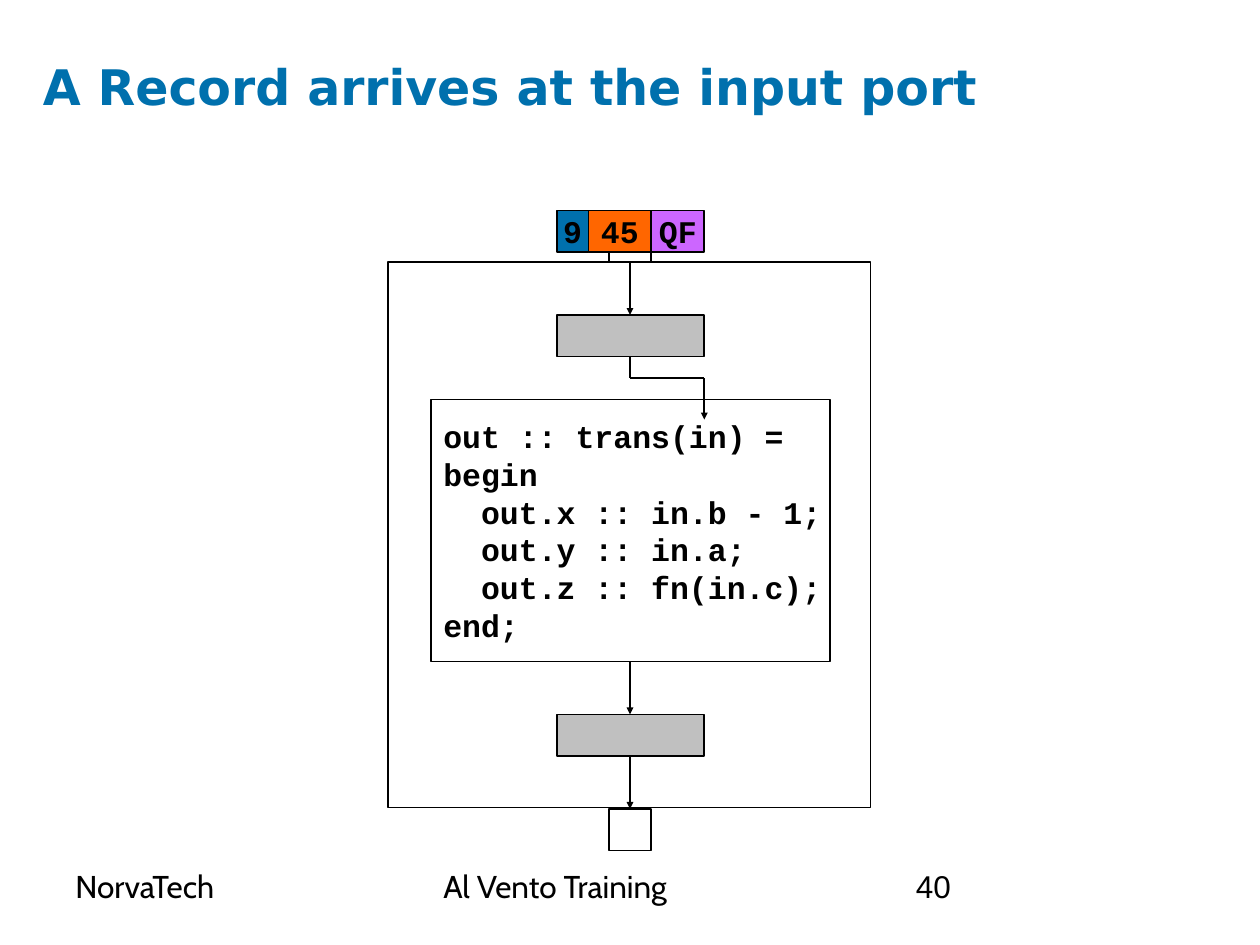
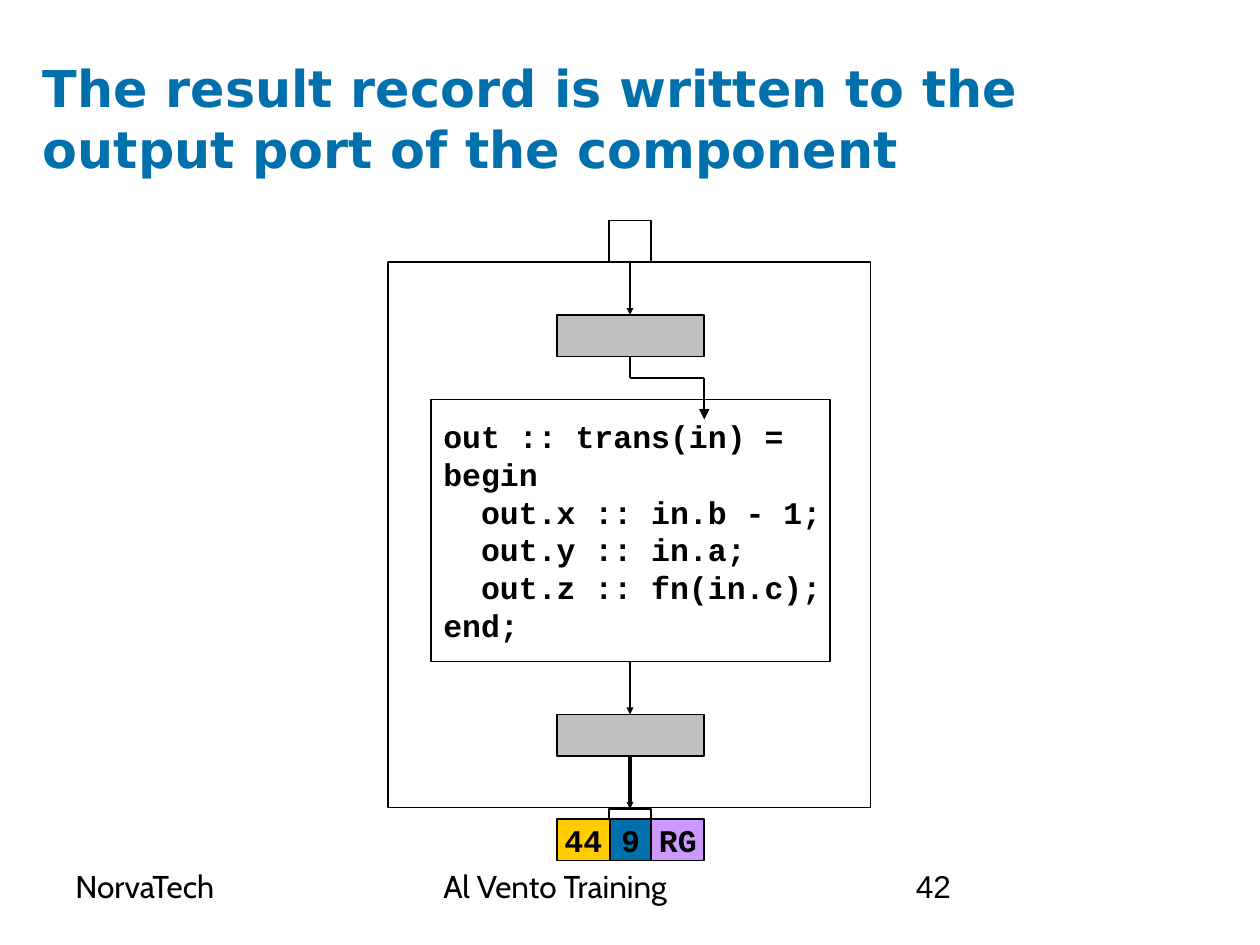
import pptx
import pptx.dml.color
import pptx.enum.shapes
import pptx.enum.text
import pptx.oxml.ns
import pptx.util
from lxml import etree

Inches = pptx.util.Inches
Pt = pptx.util.Pt
qn = pptx.oxml.ns.qn
ALIGN = pptx.enum.text.PP_ALIGN
RECTANGLE = pptx.enum.shapes.MSO_SHAPE.RECTANGLE
STRAIGHT = pptx.enum.shapes.MSO_CONNECTOR.STRAIGHT

BLACK, WHITE, GREY, BLUE = "000000", "FFFFFF", "C0C0C0", "0070AD"
CENTRE = 5
RECORD_LEFT, RECORD_WIDTH = 4.42, 1.17
CELL_HEIGHT = 0.33
CODE_INDENT = 0.3  # two Courier New characters at 18 pt

CODE = [
    (0, "out :: trans(in) ="),
    (0, "begin"),
    (1, "out.x :: in.b - 1;"),
    (1, "out.y :: in.a;"),
    (1, "out.z :: fn(in.c);"),
    (0, "end;"),
]

# Each record is its top edge and its cells: text, width, fill
SLIDES = [
    {"title": "A Record arrives at the input port", "title_size": 28, "number": "40",
     "record_top": 1.67, "output_weight": 1, "elbow_head": "sm",
     "cells": [("9", 0.25, BLUE), ("45", 0.5, "FF6600"), ("QF", 0.42, "CC66FF")]},
    {"title": "The result record is written to the output port of the component",
     "title_size": 29, "number": "42",
     "record_top": 6.5, "output_weight": 2, "elbow_head": "med",
     "cells": [("44", 0.42, "FFCC00"), ("9", 0.33, BLUE), ("RG", 0.42, "CC99FF")]},
]


def rgb(value):
    return pptx.dml.color.RGBColor.from_string(value)


def write(box, lines, font, size, color=BLACK, bold=False, align=ALIGN.LEFT):
    """Fill a shape with one paragraph per line and format every run."""
    box.text_frame.text = "\n".join(lines)
    for para in box.text_frame.paragraphs:
        para.alignment = align
        for span in para.runs:
            span.font.name = font
            span.font.size = Pt(size)
            span.font.bold = bold
            span.font.color.rgb = rgb(color)


deck = pptx.Presentation()
deck.slide_width = Inches(10)
deck.slide_height = Inches(7.5)

for content in SLIDES:
    page = deck.slides.add_slide(deck.slide_layouts[6])
    page.background.fill.solid()
    page.background.fill.fore_color.rgb = rgb(WHITE)

    title = page.shapes.add_textbox(Inches(0.34), Inches(0.45), Inches(9.33), Inches(0.94))
    frame = title.text_frame
    frame.word_wrap = True
    frame.margin_left = frame.margin_right = frame.margin_top = frame.margin_bottom = 0
    write(title, [content["title"]], "DejaVu Sans", content["title_size"], BLUE, bold=True)

    for left, width, text, font in [
        (0.5, 2.33, "NorvaTech", "Cabin"),
        (3.42, 3.17, "Al Vento Training", "Cabin"),
        (7.17, 2.33, content["number"], "Arial"),
    ]:
        footer = page.shapes.add_textbox(Inches(left), Inches(6.83), Inches(width), Inches(0.52))
        footer.text_frame.word_wrap = True
        write(footer, [text], font, 18)

    # Rectangles from back to front: left, top, width, height, fill, lines of text
    port_left = CENTRE - CELL_HEIGHT / 2
    rectangles = [
        (port_left, 1.75, CELL_HEIGHT, CELL_HEIGHT, None, []),
        (port_left, 6.42, CELL_HEIGHT, CELL_HEIGHT, None, []),
        (3.08, 2.08, 3.83, 4.33, WHITE, []),
        (RECORD_LEFT, 2.5, RECORD_WIDTH, CELL_HEIGHT, GREY, []),
        (RECORD_LEFT, 5.67, RECORD_WIDTH, CELL_HEIGHT, GREY, []),
        (3.42, 3.17, 3.17, 2.08, None, [text for level, text in CODE]),
    ]
    cell_left = RECORD_LEFT
    for text, width, fill in content["cells"]:
        rectangles.append((cell_left, content["record_top"], width, CELL_HEIGHT, fill, [text]))
        cell_left += width

    for left, top, width, height, fill, lines in rectangles:
        box = page.shapes.add_shape(
            RECTANGLE, Inches(left), Inches(top), Inches(width), Inches(height))
        box.shadow.inherit = False
        box.line.color.rgb = rgb(BLACK)
        box.line.width = Pt(1)
        if fill:
            box.fill.solid()
            box.fill.fore_color.rgb = rgb(fill)
        else:
            box.fill.background()
        if fill == WHITE:  # the component body is half transparent
            color = box.fill._xPr.find(qn("a:solidFill"))[0]
            etree.SubElement(color, qn("a:alpha")).set("val", "50000")
        if lines:
            box.text_frame.word_wrap = False
            box.text_frame.vertical_anchor = pptx.enum.text.MSO_ANCHOR.MIDDLE
            align = ALIGN.LEFT if len(lines) > 1 else ALIGN.CENTER
            write(box, lines, "Courier New", 18, bold=True, align=align)
        if len(lines) > 1:
            for para, (level, text) in zip(box.text_frame.paragraphs, CODE):
                properties = para._p.get_or_add_pPr()
                properties.set("marL", str(Inches(CODE_INDENT * level)))
                properties.set("indent", "0")

    # Flow lines: start, end, weight, arrowhead size
    elbow_x = RECORD_LEFT + RECORD_WIDTH
    for x1, y1, x2, y2, weight, head in [
        (CENTRE, 2.08, CENTRE, 2.5, 1, "sm"),
        (CENTRE, 2.83, CENTRE, 3, 1, None),
        (CENTRE, 3, elbow_x, 3, 1, None),
        (elbow_x, 3, elbow_x, 3.33, 1, content["elbow_head"]),
        (CENTRE, 5.25, CENTRE, 5.67, 1, "sm"),
        (CENTRE, 6, CENTRE, 6.42, content["output_weight"], "sm"),
    ]:
        flow = page.shapes.add_connector(
            STRAIGHT, Inches(x1), Inches(y1), Inches(x2), Inches(y2))
        flow.line.color.rgb = rgb(BLACK)
        flow.line.width = Pt(weight)
        if head:
            tail = etree.SubElement(flow.line._get_or_add_ln(), qn("a:tailEnd"))
            for name, value in (("type", "triangle"), ("w", head), ("len", head)):
                tail.set(name, value)
        etree.SubElement(flow._element.spPr, qn("a:effectLst"))

deck.save("out.pptx")
